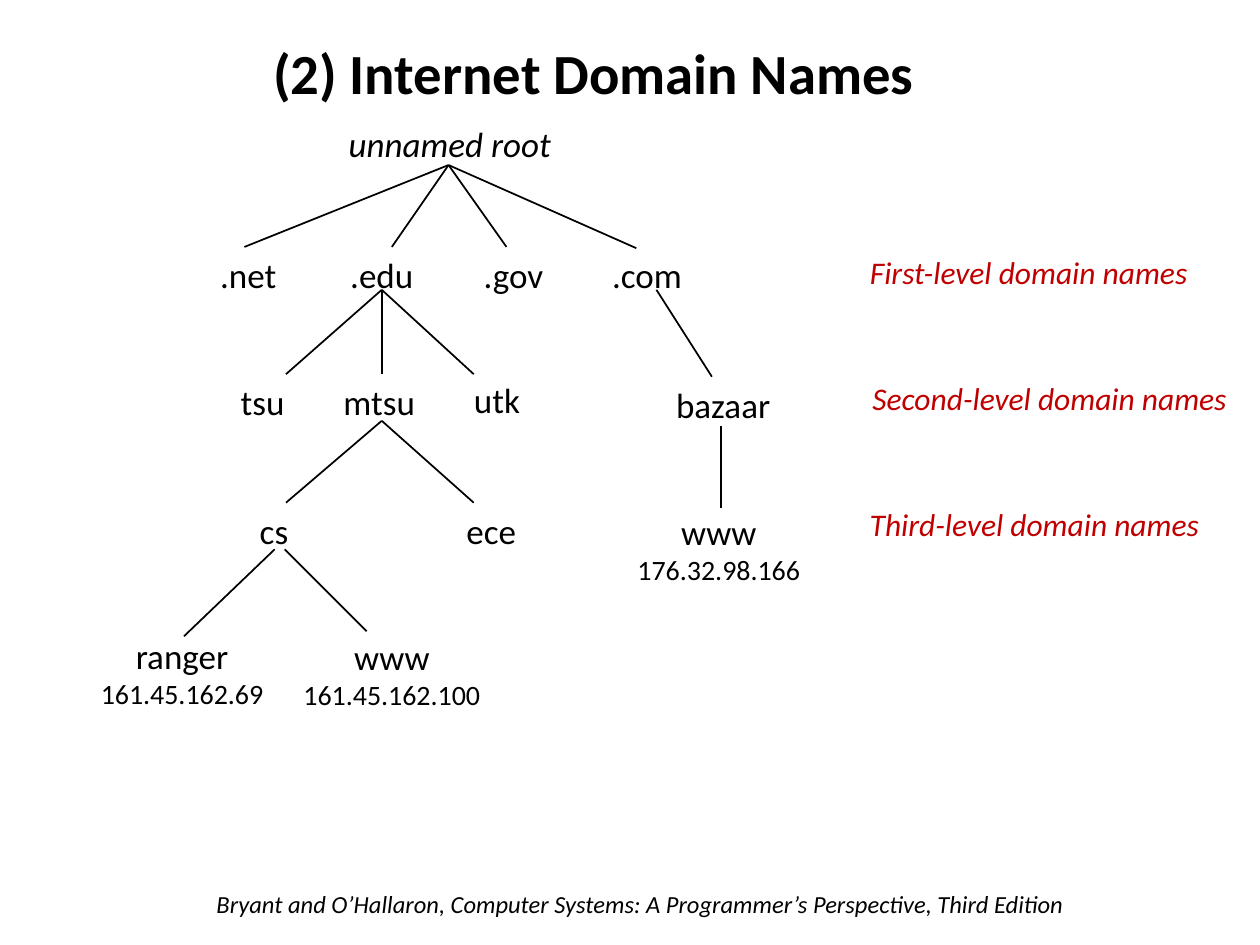
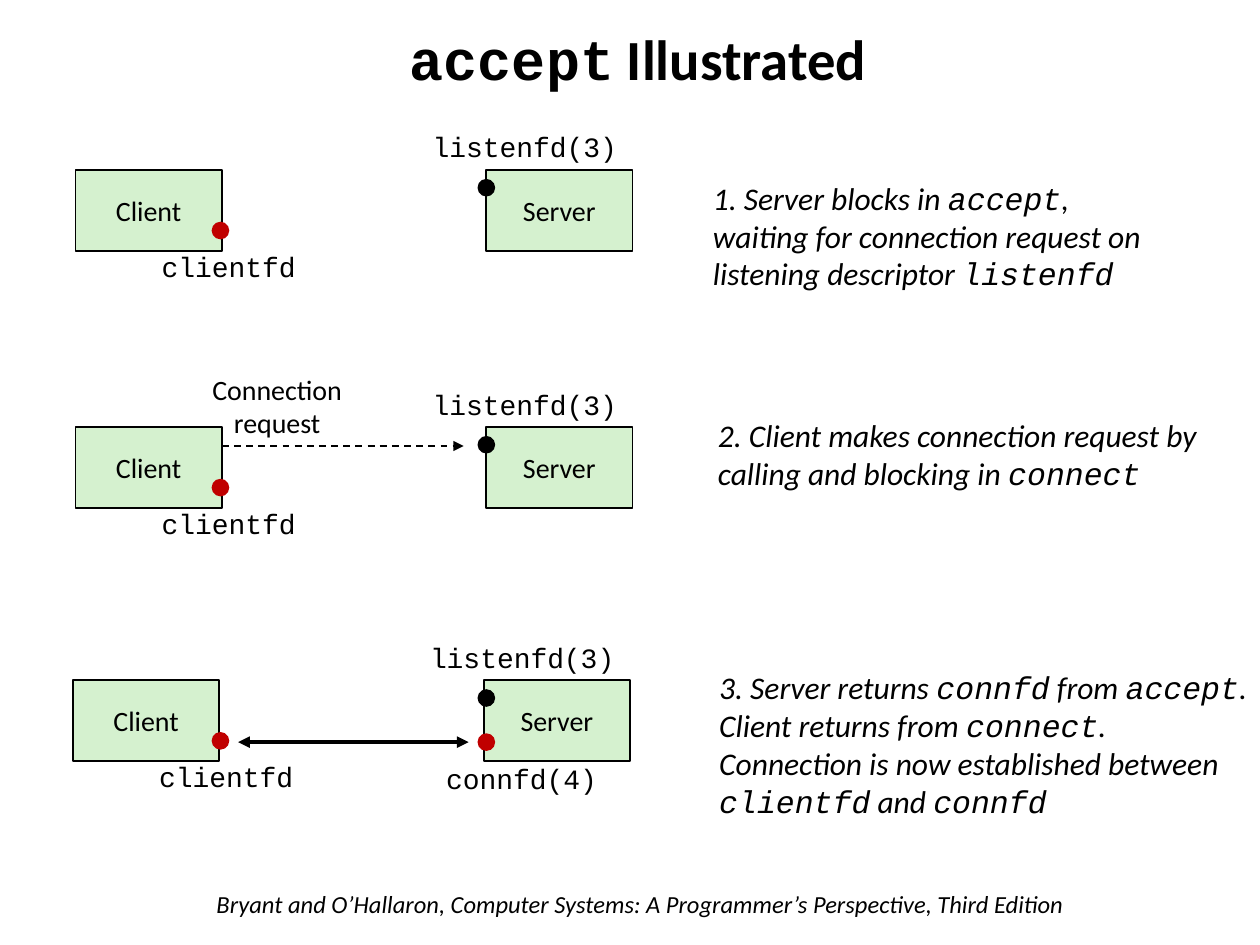
from dataclasses import dataclass

from pptx import Presentation
from pptx.dml.color import RGBColor
from pptx.enum.dml import MSO_LINE_DASH_STYLE as Dash
from pptx.enum.shapes import MSO_CONNECTOR as Connector, MSO_SHAPE as Shape
from pptx.enum.text import MSO_ANCHOR as Anchor, PP_ALIGN as Align
from pptx.oxml.ns import qn
from pptx.util import Emu, Pt
from lxml.etree import SubElement

EMU_PER_PX = 9144


@dataclass(frozen=True)
class Theme:
    """Colours, fonts and type sizes shared by the slides."""
    ink: str = "000000"
    accent: str = "C00000"
    host: str = "D5F1CF"
    body_font: str = "Calibri"
    code_font: str = "Courier New"
    title: float = 32.4
    node: int = 20
    note: int = 18
    small: int = 16
    footer: int = 14


THEME = Theme()


def px(length):
    """Turn a length in px into EMU."""
    return Emu(length * EMU_PER_PX)


def at(origin, x, y, w, h):
    """Move a box by the left and top of the region that holds it."""
    return origin[0] + x, origin[1] + y, w, h


def write(frame, text, size=THEME.small, later_size=None, color=THEME.ink, bold=False,
          italic=False, align=Align.CENTER, anchor=Anchor.MIDDLE, wrap=False, spacing=None):
    """Fill a text frame; words between backticks take the code font."""
    frame.word_wrap = wrap
    frame.vertical_anchor = anchor
    for number, line in enumerate(text.split("\n")):
        paragraph = frame.add_paragraph() if number else frame.paragraphs[0]
        paragraph.alignment = align
        paragraph.line_spacing = spacing
        for turn, words in enumerate(line.split("`")):
            if not words:
                continue
            run = paragraph.add_run()
            run.text = words
            font = run.font
            font.name = THEME.code_font if turn % 2 else THEME.body_font
            font.size = Pt(later_size if number and later_size else size)
            font.bold, font.italic = bold, italic
            font.color.rgb = RGBColor.from_string(color)


def add_text(slide, box, text, **style):
    """Add a text box in the given format."""
    write(slide.shapes.add_textbox(*map(px, box)).text_frame, text, **style)


def add_block(slide, kind, box, fill, outlined=False):
    """Add a flat filled shape, with a thin outline if wanted."""
    block = slide.shapes.add_shape(kind, *map(px, box))
    block.shadow.inherit = False
    block.fill.solid()
    block.fill.fore_color.rgb = RGBColor.from_string(fill)
    if outlined:
        block.line.color.rgb = RGBColor.from_string(THEME.ink)
        block.line.width = Pt(1)
    else:
        block.line.fill.background()
    return block


def add_line(slide, origin, start, end, width=1, dash=None, heads=()):
    """Draw a straight line, with arrowheads at the named ends."""
    points = [px(base + step) for point in (start, end) for base, step in zip(origin, point)]
    line = slide.shapes.add_connector(Connector.STRAIGHT, *points)
    line.line.color.rgb = RGBColor.from_string(THEME.ink)
    line.line.width = Pt(width)
    if dash:
        line.line.dash_style = dash
    for head in heads:
        SubElement(line.line._get_or_add_ln(), qn(f"a:{head}"), type="triangle")
    SubElement(line._element.spPr, qn("a:effectLst"))


def add_page(deck, title, title_box):
    """Start a slide with its title and the shared footer."""
    slide = deck.slides.add_slide(deck.slide_layouts[6])
    add_text(slide, (162, 701, 710, 34),
             "Bryant and O’Hallaron, Computer Systems: A Programmer’s Perspective, Third Edition",
             size=THEME.footer, italic=True, align=Align.LEFT, anchor=Anchor.TOP, wrap=True)
    add_text(slide, title_box, title, size=THEME.title, bold=True, wrap=True, spacing=0.9)
    return slide


def domain_tree(slide, origin):
    """Draw the domain names and the branches between them."""
    branches = [
        ((287, 39), [(125, 104), (242, 104), (333, 104), (436, 105)]),
        ((234, 138), [(158, 205), (234, 205), (307, 205)]),
        ((234, 242), [(158, 307), (307, 307)]),
        ((149, 344), [(77, 413)]),
        ((157, 344), [(222, 409)]),
        ((452, 138), [(496, 207)]),
        ((503, 246), [(503, 311)]),
    ]
    domains = [
        (".net", 95, 104, 66), (".edu", 198, 104, 72),
        (".gov", 304, 104, 69), (".com", 406, 104, 77),
        ("tsu", 112, 205, 55), ("mtsu", 193, 205, 78),
        ("utk", 297, 203, 57), ("bazaar", 449, 207, 112),
        ("cs", 127, 307, 43), ("ece", 291, 307, 60),
        ("www\n176.32.98.166", 426, 308, 151),
        ("ranger\n161.45.162.69", 0, 406, 151),
        ("www\n161.45.162.100", 161, 407, 162),
    ]
    for parent, children in branches:
        for child in children:
            add_line(slide, origin, parent, child)
    add_text(slide, at(origin, 195, 0, 186, 44), "unnamed root", size=THEME.node, italic=True)
    for name, x, y, width in domains:
        height = 71 if "\n" in name else 44
        add_text(slide, at(origin, x, y, width, height), name,
                 size=THEME.node, later_size=THEME.small)


def level_labels(slide, origin):
    """Name the three levels of the tree at equal steps."""
    levels = [("First", 0, 283), ("Second", 2, 312), ("Third", 0, 292)]
    for row, (level, x, width) in enumerate(levels):
        add_text(slide, at(origin, x, row * 100, width, 40), f"{level}-level domain names",
                 size=THEME.note, color=THEME.accent, italic=True)


def descriptor(slide, origin, name, label_box, dot, color):
    """Mark a socket descriptor by a dot and its name."""
    add_text(slide, at(origin, *label_box), f"`{name}`")
    add_block(slide, Shape.OVAL, at(origin, *dot, 14, 14), color)


def exchange(slide, origin, nudge=0):
    """Draw the client and server with their first descriptors."""
    for host, x in (("Client", 0), ("Server", 326)):
        block = add_block(slide, Shape.RECTANGLE, at(origin, x + nudge, 0, 116, 64),
                          THEME.host, outlined=True)
        write(block.text_frame, host)
    descriptor(slide, origin, "listenfd(3)", (273 + nudge, -37, 167, 37), (319, 7), THEME.ink)
    descriptor(slide, origin, "clientfd", (58 + nudge, 58, 127, 37), (108, 41), THEME.accent)


def explanation(slide, box, text):
    """Describe one step beside its drawing."""
    add_text(slide, box, text, size=THEME.note, italic=True, align=Align.LEFT, wrap=True)


def blocking_step(slide, origin):
    """Show the server waiting in accept."""
    exchange(slide, origin)
    explanation(slide, at(origin, 496, -13, 360, 130),
                "1. Server blocks in `accept`, waiting for connection request on "
                "listening descriptor `listenfd`")


def request_step(slide, origin):
    """Show the client asking for a connection."""
    exchange(slide, origin)
    add_line(slide, origin, (116, 15), (308, 15), dash=Dash.DASH, heads=["tailEnd"])
    add_text(slide, at(origin, 97, -49, 126, 64), "Connection\nrequest")
    explanation(slide, at(origin, 500, -14, 423, 71),
                "2. Client makes connection request by calling and blocking in `connect`")


def connected_step(slide, origin):
    """Show the connection in place."""
    exchange(slide, origin, nudge=-2)
    descriptor(slide, origin, "connfd(4)", (284, 59, 140, 37), (319, 42), THEME.accent)
    add_line(slide, origin, (129, 49), (312, 49), width=2.25, heads=["headEnd", "tailEnd"])
    explanation(slide, at(origin, 501, -15, 439, 131),
                "3. Server returns `connfd` from `accept`. Client returns from `connect`. "
                "Connection is now established between `clientfd` and `connfd`")


def main():
    """Build both slides and save the deck."""
    deck = Presentation()
    deck.slide_width, deck.slide_height = px(1000), px(750)

    domain_names = add_page(deck, "(2) Internet Domain Names", (84, 29, 774, 63))
    domain_tree(domain_names, (69, 92))
    level_labels(domain_names, (675, 196))

    accept_steps = add_page(deck, "`accept` Illustrated", (48, 18, 917, 63))
    for step, top in ((blocking_step, 135), (request_step, 339), (connected_step, 540)):
        step(accept_steps, (60, top))

    deck.save("out.pptx")


if __name__ == "__main__":
    main()
